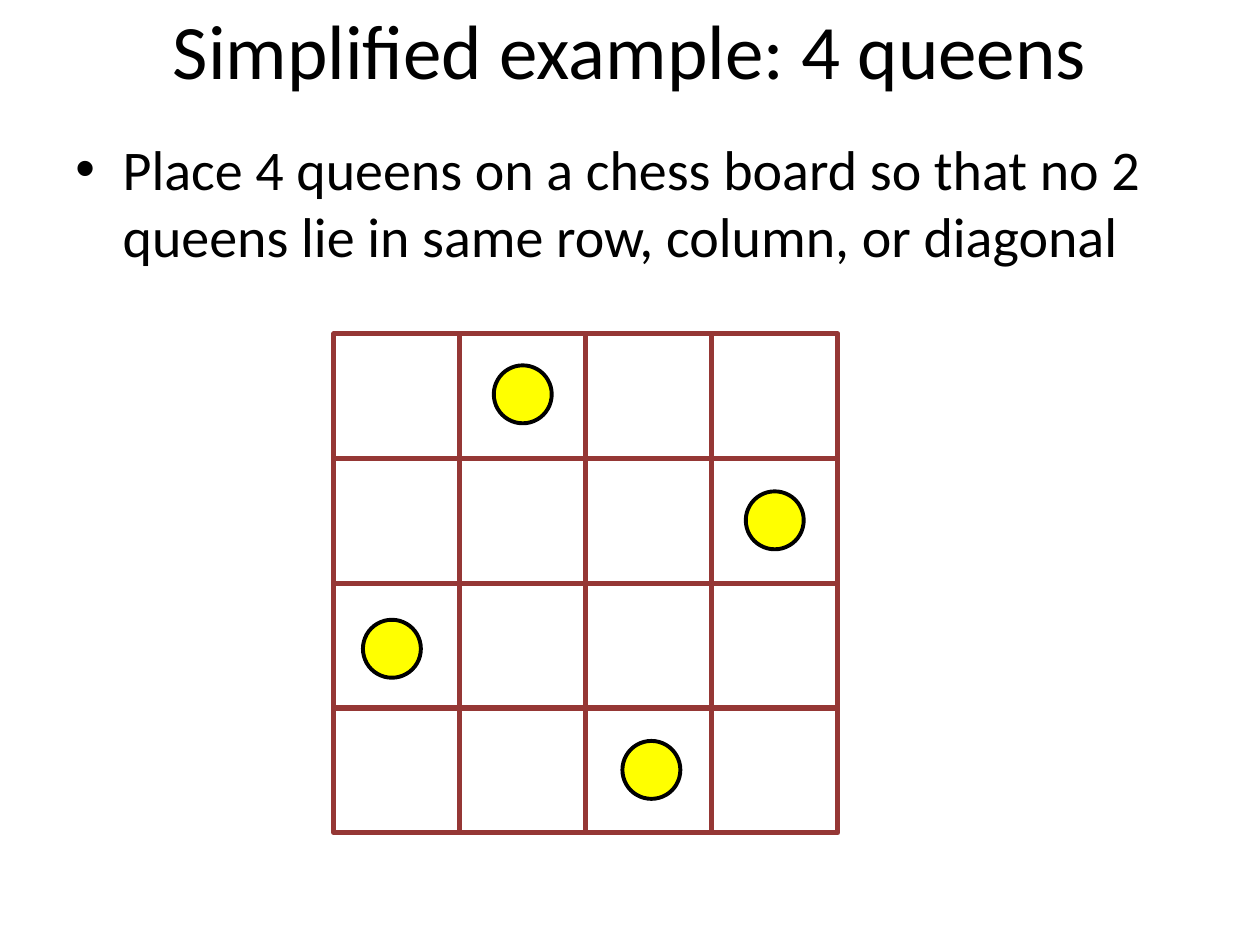
from dataclasses import dataclass

from lxml import etree
from pptx import Presentation
from pptx import util as u
from pptx.dml.color import RGBColor
from pptx.enum import shapes, text
from pptx.oxml import ns


@dataclass(frozen=True)
class Theme:
    font: str = "Calibri"
    ink: str = "000000"
    board: str = "953735"
    queen: str = "FFFF00"
    title_size: float = 44
    body_size: float = 32
    board_line: float = 3
    queen_line: float = 2.25


class Deck:
    def __init__(self, theme, width, height):
        self.theme = theme
        self.presentation = Presentation()
        self.presentation.slide_width = u.Pt(width)
        self.presentation.slide_height = u.Pt(height)
        self.slide = None

    def new_slide(self):
        self.slide = self.presentation.slides.add_slide(self.presentation.slide_layouts[6])

    def words(self, wording, left, top, width, height, size, anchor, align):
        box = self.slide.shapes.add_textbox(*map(u.Pt, (left, top, width, height)))
        frame = box.text_frame
        frame.word_wrap = True
        frame.vertical_anchor = anchor
        paragraph = frame.paragraphs[0]
        paragraph.text = wording
        paragraph.alignment = align
        paragraph.font.name = self.theme.font
        paragraph.font.size = u.Pt(size)
        paragraph.font.color.rgb = RGBColor.from_string(self.theme.ink)
        return paragraph

    def title(self, wording, left, top, width, height):
        self.words(wording, left, top, width, height, self.theme.title_size,
                   text.MSO_ANCHOR.MIDDLE, text.PP_ALIGN.CENTER)

    def bullet(self, wording, left, top, width, height, indent=27):
        paragraph = self.words(wording, left, top, width, height, self.theme.body_size,
                               text.MSO_ANCHOR.TOP, text.PP_ALIGN.LEFT)
        properties = paragraph._p.get_or_add_pPr()
        properties.set("marL", str(u.Pt(indent)))
        properties.set("indent", str(-u.Pt(indent)))
        bullet_font = etree.Element(ns.qn("a:buFont"), typeface="Arial")
        bullet_mark = etree.Element(ns.qn("a:buChar"), char="•")
        properties.insert_element_before(bullet_font, "a:tabLst", "a:defRPr", "a:extLst")
        properties.insert_element_before(bullet_mark, "a:tabLst", "a:defRPr", "a:extLst")

    def group(self):
        return self.slide.shapes.add_group_shape()

    def outlined(self, group, kind, left, top, width, height, color, weight):
        shape = group.shapes.add_shape(kind, *map(u.Pt, (left, top, width, height)))
        shape.shadow.inherit = False
        shape.line.color.rgb = RGBColor.from_string(color)
        shape.line.width = u.Pt(weight)
        return shape

    def queen(self, group, left, top, size):
        piece = self.outlined(group, shapes.MSO_SHAPE.OVAL, left, top, size, size,
                              self.theme.ink, self.theme.queen_line)
        piece.fill.solid()
        piece.fill.fore_color.rgb = RGBColor.from_string(self.theme.queen)

    def square(self, group, left, top, width, height):
        cell = self.outlined(group, shapes.MSO_SHAPE.RECTANGLE, left, top, width, height,
                             self.theme.board, self.theme.board_line)
        cell.fill.background()


def main():
    deck = Deck(Theme(), 720, 540)
    deck.new_slide()
    deck.title("Simplified example: 4 queens", 36, -17.3, 648, 90)
    deck.bullet("Place 4 queens on a chess board so that no 2 queens lie "
                "in same row, column, or diagonal", 36, 73.4, 648, 87.8)

    board = deck.group()
    for left, top in ((282.2, 208.8), (355.7, 423.4), (426.2, 280.8), (207.4, 354.2)):
        deck.queen(board, left, top, 33.1)

    board_left = board_top = 190.8
    cell_width, cell_height = 72, 71.25
    for row in range(4):
        for column in range(4):
            deck.square(board, board_left + column * cell_width,
                        board_top + row * cell_height, cell_width, cell_height)

    deck.presentation.save("out.pptx")


if __name__ == "__main__":
    main()
